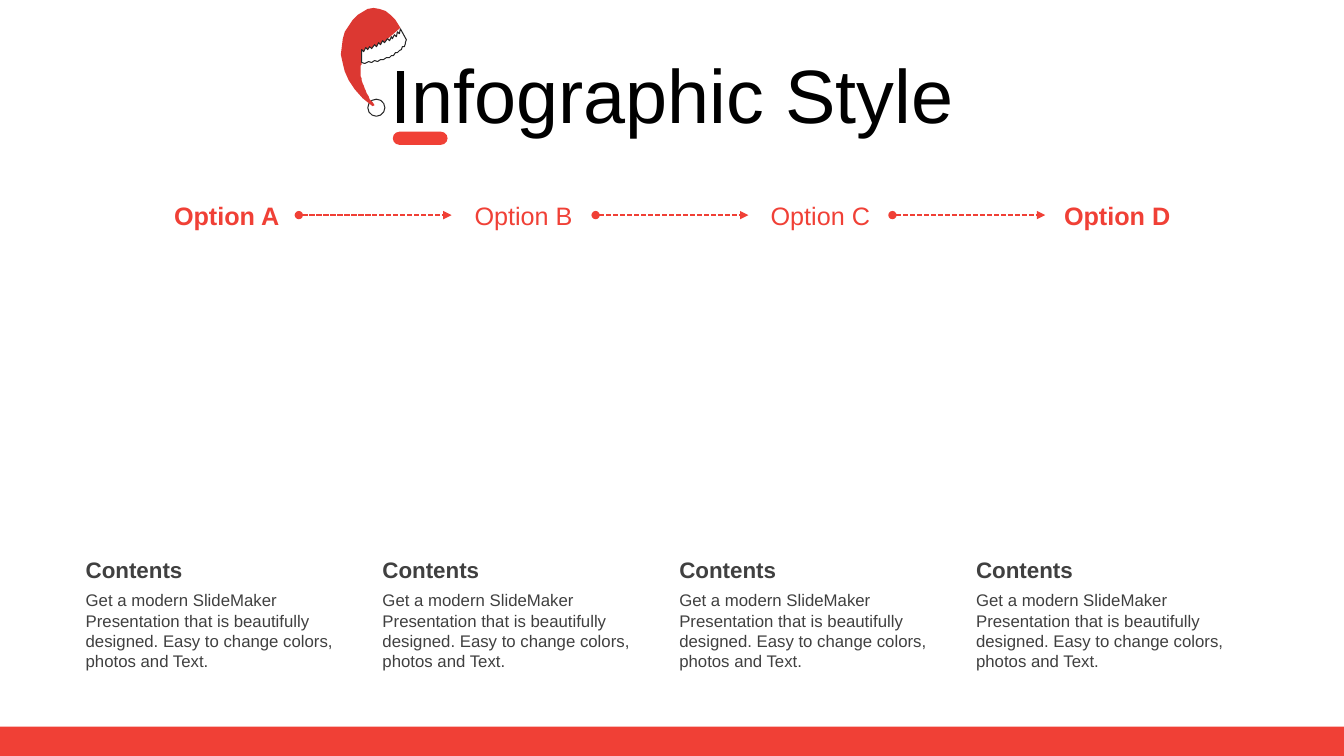
from lxml.etree import SubElement
from pptx import Presentation
from pptx.dml.color import RGBColor
from pptx.enum.dml import MSO_LINE_DASH_STYLE as Dash
from pptx.enum.shapes import MSO_AUTO_SHAPE_TYPE as ShapeType
from pptx.enum.shapes import MSO_CONNECTOR_TYPE as ConnectorType
from pptx.enum.text import MSO_ANCHOR as Anchor
from pptx.enum.text import MSO_AUTO_SIZE as AutoSize
from pptx.enum.text import PP_ALIGN as Align
from pptx.oxml.ns import qn
from pptx.util import Cm, Pt

COLORS = {"accent": "F04036", "hat": "DC3832", "fur": "FFFFFF",
          "outline": "262626", "body": "404040", "title": "000000"}
FORMATS = {
    "title": {"size": Pt(54), "bold": False, "color": "title"},
    "heading": {"size": Pt(16), "bold": True, "color": "body"},
    "body": {"size": Pt(12), "bold": False, "color": "body"},
    "outer": {"size": Pt(18), "bold": True, "color": "accent"},
    "inner": {"size": Pt(18), "bold": False, "color": "accent"},
}
OPTIONS = [("Option A", "outer"), ("Option B", "inner"),
           ("Option C", "inner"), ("Option D", "outer")]
CONTENT = ("Get a modern SlideMaker Presentation that is beautifully designed. "
           "Easy to change colors, photos and Text.")
SLIDE_WIDTH, SLIDE_HEIGHT = 33.87, 19.05
FOOTER_HEIGHT = 0.74
COLUMN_PITCH = 7.48
LABEL_LEFT, LABEL_TOP, LABEL_WIDTH, LABEL_HEIGHT = 3.9, 5.04, 3.63, 0.76
CONTENT_LEFT, CONTENT_WIDTH = 2.16, 6.73
HEADING_TOP, BODY_TOP = 14.02, 14.87
HAT_LEFT, HAT_TOP, HAT_UNIT = 8.64, 0.2, 0.025
CURVE_STEPS = 20


def rgb(name):
    """Return the named colour."""
    return RGBColor.from_string(COLORS[name])


def write_text(paragraph, text, style, alignment=Align.LEFT):
    """Write one formatted run into a paragraph."""
    paragraph.alignment = alignment
    run = paragraph.add_run()
    run.text = text
    run.font.name = "Arial"
    for attribute, value in FORMATS[style].items():
        if attribute == "color":
            run.font.color.rgb = rgb(value)
        else:
            setattr(run.font, attribute, value)


def add_text(shapes, box, text, style, alignment=Align.LEFT):
    """Add a wrapped text box without insets."""
    shape = shapes.add_textbox(*map(Cm, box))
    frame = shape.text_frame
    settings = {"margin_left": 0, "margin_top": 0, "margin_right": 0,
                "margin_bottom": 0, "word_wrap": True,
                "auto_size": AutoSize.SHAPE_TO_FIT_TEXT}
    for attribute, value in settings.items():
        setattr(frame, attribute, value)
    write_text(frame.paragraphs[0], text, style, alignment)
    return shape


def paint(shape, fill, line=None):
    """Give a shape a plain fill, an optional outline and no shadow."""
    shape.shadow.inherit = False
    shape.fill.solid()
    shape.fill.fore_color.rgb = rgb(fill)
    if line:
        shape.line.color.rgb = rgb(line)
        shape.line.width = Pt(0.75)
    else:
        shape.line.fill.background()


def add_preset(shapes, kind, box, fill, line=None):
    """Add a painted preset shape."""
    shape = shapes.add_shape(kind, *map(Cm, box))
    paint(shape, fill, line)
    return shape


def add_title(slide):
    """Fill and place the title placeholder."""
    title = slide.shapes.title
    title.left, title.top, title.width, title.height = map(Cm, (0.86, 1.35, 32.16, 2))
    frame = title.text_frame
    frame.auto_size = AutoSize.NONE
    frame.vertical_anchor = Anchor.TOP
    frame.margin_top = Cm(0.12)
    paragraph = frame.paragraphs[0]
    paragraph.line_spacing = 0.9
    paragraph.space_before = Pt(0)
    write_text(paragraph, "Infographic Style", "title", Align.CENTER)


def add_label(slide, column, text, style):
    """Add the option label of one column."""
    box = (LABEL_LEFT + column * COLUMN_PITCH, LABEL_TOP, LABEL_WIDTH, LABEL_HEIGHT)
    return add_text(slide.shapes, box, text, style, Align.CENTER)


def add_arrow(slide, start, end):
    """Join two option labels with a dashed arrow."""
    arrow = slide.shapes.add_connector(ConnectorType.STRAIGHT, 0, 0, 0, 0)
    arrow.begin_connect(start, 3)
    arrow.end_connect(end, 1)
    line = arrow.line
    line.color.rgb = rgb("accent")
    line.width = Pt(1.25)
    line.dash_style = Dash.SQUARE_DOT
    properties = line._get_or_add_ln()
    for tag, head in (("a:headEnd", "oval"), ("a:tailEnd", "triangle")):
        SubElement(properties, qn(tag), type=head)
    SubElement(arrow._element.spPr, qn("a:effectLst"))


def add_content(slide, column):
    """Add the grouped heading and description of one column."""
    shapes = slide.shapes.add_group_shape().shapes
    left = CONTENT_LEFT + column * COLUMN_PITCH
    add_text(shapes, (left, HEADING_TOP, CONTENT_WIDTH, 0.69), "Contents", "heading")
    add_text(shapes, (left, BODY_TOP, CONTENT_WIDTH, 2.06), CONTENT, "body")


def curve(start, pull_start, pull_end, end):
    """Sample a cubic curve from start to end."""
    points = []
    for step in range(CURVE_STEPS + 1):
        t = step / CURVE_STEPS
        u = 1 - t
        points.append(tuple(u ** 3 * a + 3 * u * u * t * b + 3 * u * t * t * c + t ** 3 * d
                            for a, b, c, d in zip(start, pull_start, pull_end, end)))
    return points


def ragged(points, depth):
    """Shift every second point down to give a furry edge."""
    return [(x, y + depth * (index % 2)) for index, (x, y) in enumerate(points)]


def add_outline(shapes, points, fill, line=None):
    """Add a closed outline in hat units."""
    builder = shapes.build_freeform(*points[0], scale=Cm(HAT_UNIT))
    builder.add_line_segments(points[1:], close=True)
    paint(builder.convert_to_shape(Cm(HAT_LEFT), Cm(HAT_TOP)), fill, line)


def add_hat(slide):
    """Draw the Santa hat from a pompom, a cap and a fur brim."""
    shapes = slide.shapes.add_group_shape().shapes
    cap_back = curve((58, 20), (29, -38), (-43, 45), (30, 99))
    cap_front = curve((32, 98), (15, 77), (18, 62), (19, 54))
    brim_top = curve((58, 21), (50, 32), (32, 36), (19, 42))
    brim_bottom = curve((19, 55), (42, 54), (61, 45), (64, 32))
    add_preset(shapes, ShapeType.OVAL, (9.27, 2.5, 0.43, 0.43), "fur", "outline")
    add_outline(shapes, cap_back + cap_front, "hat")
    add_outline(shapes, ragged(brim_top, 3) + ragged(brim_bottom, 1), "fur", "outline")


def main():
    """Build the slide and save it."""
    presentation = Presentation()
    presentation.slide_width, presentation.slide_height = Cm(SLIDE_WIDTH), Cm(SLIDE_HEIGHT)
    slide = presentation.slides.add_slide(presentation.slide_layouts[5])
    footer = (0, SLIDE_HEIGHT - FOOTER_HEIGHT, SLIDE_WIDTH, FOOTER_HEIGHT)
    add_preset(slide.shapes, ShapeType.RECTANGLE, footer, "accent")
    labels = []
    for column, (text, style) in enumerate(OPTIONS):
        add_content(slide, column)
        labels.append(add_label(slide, column, text, style))
    for start, end in zip(labels, labels[1:]):
        add_arrow(slide, start, end)
    add_title(slide)
    add_hat(slide)
    underline = add_preset(slide.shapes, ShapeType.ROUNDED_RECTANGLE,
                           (9.9, 3.32, 1.38, 0.33), "accent")
    underline.adjustments[0] = 0.5
    presentation.save("out.pptx")


if __name__ == "__main__":
    main()
